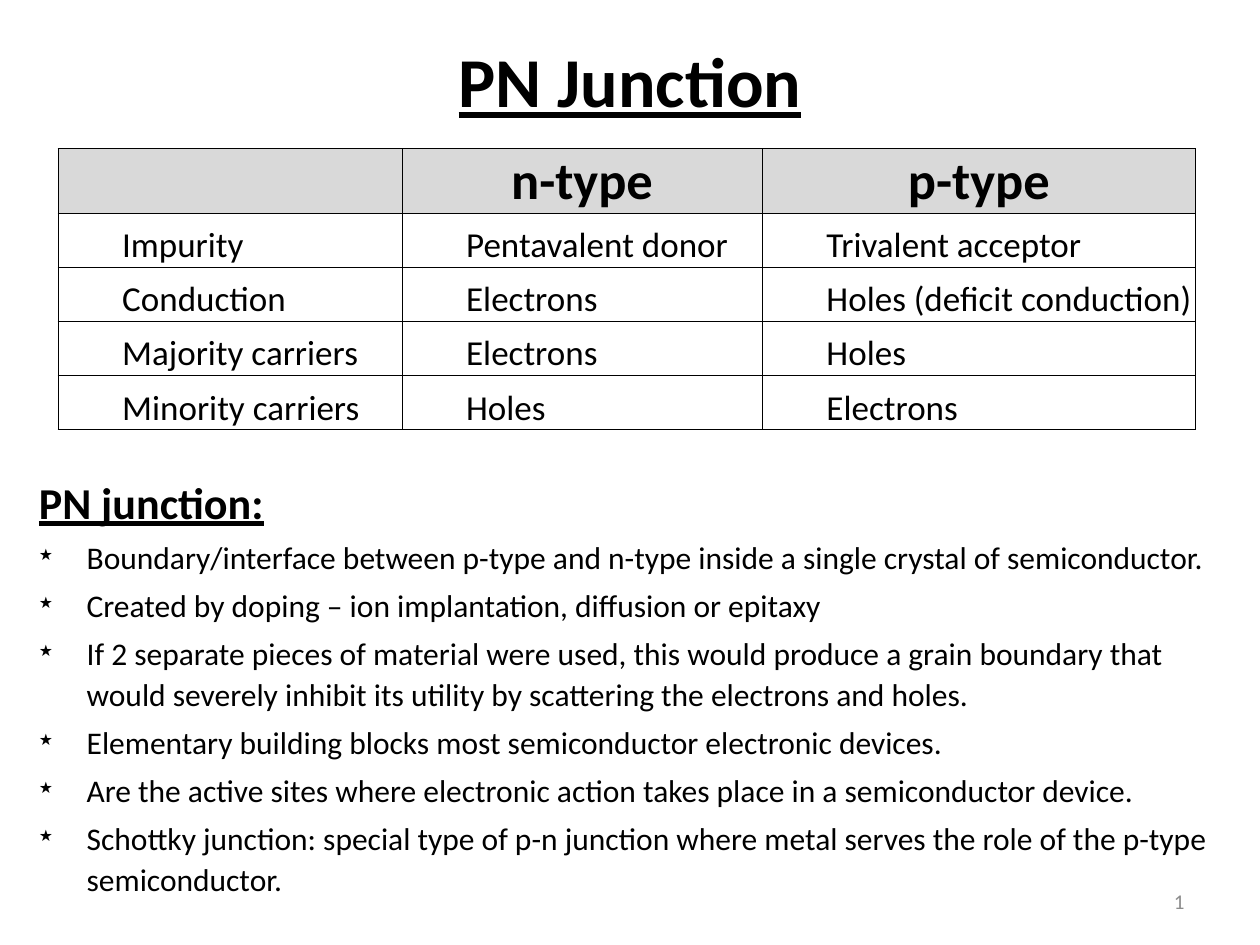
from dataclasses import dataclass

import pptx
import pptx.dml.color
import pptx.enum.text
import pptx.oxml.ns
import pptx.util
from lxml import etree
from pptx.dml.color import RGBColor
from pptx.enum.text import MSO_ANCHOR, PP_ALIGN
from pptx.util import Inches

BLACK = RGBColor(0x00, 0x00, 0x00)
WHITE = RGBColor(0xFF, 0xFF, 0xFF)
HEADER_GRAY = RGBColor(0xD9, 0xD9, 0xD9)
NUMBER_GRAY = RGBColor(0x8C, 0x8C, 0x8C)
FONT = "Calibri"
BULLET_INDENT = Inches(0.38)
COLUMN_WIDTHS = (2.73, 2.86, 3.44)
HEADER_HEIGHT, ROW_HEIGHT = 0.49, 0.43


@dataclass
class Box:
    left: float
    top: float
    width: float
    height: float

    def lengths(self) -> tuple:
        return tuple(Inches(n) for n in (self.left, self.top, self.width, self.height))


@dataclass
class Comparison:
    feature: str
    n_type: str
    p_type: str

    def texts(self) -> tuple:
        return self.feature, self.n_type, self.p_type


HEADER = Comparison("", "n-type", "p-type")
COMPARISONS = (
    Comparison("Impurity", "Pentavalent donor", "Trivalent acceptor"),
    Comparison("Conduction", "Electrons", "Holes (deficit conduction)"),
    Comparison("Majority carriers", "Electrons", "Holes"),
    Comparison("Minority carriers", "Holes", "Electrons"),
)
BULLETS = (
    "Boundary/interface between p-type and n-type inside a single crystal of semiconductor.",
    "Created by doping – ion implantation, diffusion or epitaxy",
    "If 2 separate pieces of material were used, this would produce a grain boundary "
    "that would severely inhibit its utility by scattering the electrons and holes.",
    "Elementary building blocks most semiconductor electronic devices.",
    "Are the active sites where electronic action takes place in a semiconductor device.",
    "Schottky junction: special type of p-n junction where metal serves the role of the "
    "p-type semiconductor.",
)


def add_child(parent, tag: str, **attributes: str):
    child = etree.SubElement(parent, pptx.oxml.ns.qn(tag))
    for name, value in attributes.items():
        child.set(name, value)
    return child


def write(paragraph, text: str, *, size: float, color: RGBColor = BLACK,
          bold: bool = False, underline: bool = False,
          align: PP_ALIGN = PP_ALIGN.LEFT) -> None:
    paragraph.alignment = align
    run = paragraph.add_run()
    run.text = text
    font = run.font
    font.name, font.size, font.color.rgb = FONT, pptx.util.Pt(size), color
    font.bold, font.underline = bold, underline


def add_text_frame(slide, box: Box, anchor: MSO_ANCHOR):
    frame = slide.shapes.add_textbox(*box.lengths()).text_frame
    frame.word_wrap = True
    frame.vertical_anchor = anchor
    return frame


def add_bullet(frame, text: str) -> None:
    paragraph = frame.add_paragraph()
    paragraph.line_spacing = 1.1
    paragraph.space_before = pptx.util.Pt(3.6)
    properties = paragraph._p.get_or_add_pPr()
    properties.set("marL", str(BULLET_INDENT))
    properties.set("indent", str(-BULLET_INDENT))
    add_child(properties, "a:buSzPct", val="50000")
    add_child(properties, "a:buChar", char="★")
    write(paragraph, text, size=18)


def format_cell(cell, text: str, is_header: bool) -> None:
    cell.vertical_anchor = MSO_ANCHOR.BOTTOM
    cell.margin_left = cell.margin_right = cell.margin_top = Inches(0.01)
    cell.margin_bottom = 0
    # Borders come before the fill in the cell properties
    properties = cell._tc.get_or_add_tcPr()
    for side in ("a:lnL", "a:lnR", "a:lnT", "a:lnB"):
        line = add_child(properties, side, w=str(pptx.util.Pt(0.5)))
        add_child(add_child(line, "a:solidFill"), "a:srgbClr", val=str(BLACK))
    cell.fill.solid()
    cell.fill.fore_color.rgb = HEADER_GRAY if is_header else WHITE
    if not text:
        return
    paragraph = cell.text_frame.paragraphs[0]
    if is_header:
        write(paragraph, text, size=30, bold=True, align=PP_ALIGN.CENTER)
    else:
        paragraph._p.get_or_add_pPr().set("marL", str(Inches(0.5)))
        write(paragraph, text, size=20)


def add_comparison_table(slide, left: float, top: float) -> None:
    rows = (HEADER, *COMPARISONS)
    height = HEADER_HEIGHT + ROW_HEIGHT * len(COMPARISONS)
    box = Box(left, top, sum(COLUMN_WIDTHS), height)
    table = slide.shapes.add_table(len(rows), len(COLUMN_WIDTHS), *box.lengths()).table
    for column, width in zip(table.columns, COLUMN_WIDTHS):
        column.width = Inches(width)
    for i, comparison in enumerate(rows):
        table.rows[i].height = Inches(ROW_HEIGHT if i else HEADER_HEIGHT)
        for j, text in enumerate(comparison.texts()):
            format_cell(table.cell(i, j), text, is_header=i == 0)


def main() -> None:
    presentation = pptx.Presentation()
    presentation.slide_width, presentation.slide_height = Inches(10), Inches(7.5)
    slide = presentation.slides.add_slide(presentation.slide_layouts[6])

    # Title
    title = add_text_frame(slide, Box(0.5, 0.15, 9, 0.97), MSO_ANCHOR.MIDDLE)
    write(title.paragraphs[0], "PN Junction", size=40, bold=True, underline=True,
          align=PP_ALIGN.CENTER)

    # Explanation
    body = add_text_frame(slide, Box(0.21, 3.72, 9.54, 3.61), MSO_ANCHOR.TOP)
    write(body.paragraphs[0], "PN junction:", size=25.2, bold=True, underline=True)
    for text in BULLETS:
        add_bullet(body, text)

    # Slide number
    number = add_text_frame(slide, Box(7.17, 6.95, 2.33, 0.4), MSO_ANCHOR.MIDDLE)
    write(number.paragraphs[0], "1", size=12, color=NUMBER_GRAY, align=PP_ALIGN.RIGHT)

    # Comparison of the two types
    add_comparison_table(slide, 0.46, 1.18)

    presentation.save("out.pptx")


if __name__ == "__main__":
    main()
